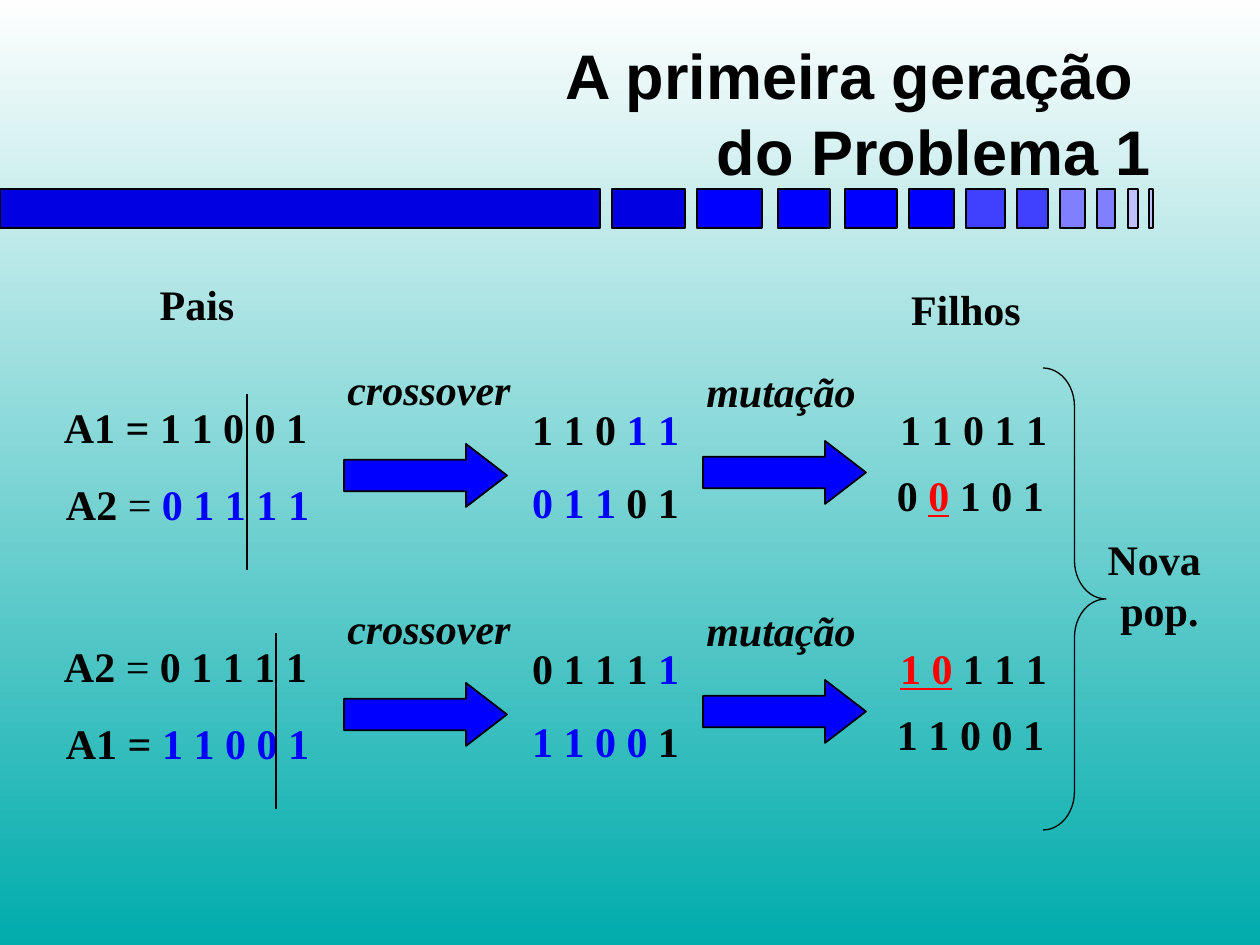
from pptx import Presentation
from pptx import util as u
from pptx.dml.color import RGBColor
from pptx.enum import shapes, text
from pptx.oxml.ns import qn
from lxml import etree

SCALE = 914400 / 126

BLACK = RGBColor(0x00, 0x00, 0x00)
BLUE = RGBColor(0x00, 0x00, 0xFF)
RED = RGBColor(0xFF, 0x00, 0x00)
DARK_BLUE = RGBColor(0x00, 0x00, 0xE0)
MID_BLUE = RGBColor(0x40, 0x40, 0xFF)
LIGHT_BLUE = RGBColor(0x80, 0x80, 0xFF)
PALE_BLUE = RGBColor(0xC0, 0xC0, 0xFF)
SKY = RGBColor(0xFE, 0xFE, 0xFE)
TEAL = RGBColor(0x00, 0xAC, 0xAC)

BARS = [
    (0, 600, DARK_BLUE), (612, 73, DARK_BLUE), (697, 65, BLUE),
    (778, 52, BLUE), (845, 52, BLUE), (909, 45, BLUE),
    (966, 39, MID_BLUE), (1017, 31, MID_BLUE), (1060, 25, LIGHT_BLUE),
    (1097, 18, LIGHT_BLUE), (1128, 10, PALE_BLUE), (1149, 4, PALE_BLUE),
]

NORMAL = {}
THIN = {"bold": False}
PARENT = {"color": BLUE}
MUTATED = {"color": RED, "underline": True}

FIRST_PAIR = {
    "cut": 247,
    "parents": [[("A1 = 1 1 0 0 1", NORMAL)],
                [("A2 ", NORMAL), ("= ", THIN), ("0 1 1 1 1", PARENT)]],
    "crossed": [[("1 1 0 ", NORMAL), ("1 1", PARENT)],
                [("0 1 1", PARENT), (" 0 1", NORMAL)]],
    "children": [[("1 1 0 1 1", NORMAL)],
                 [("0 ", NORMAL), ("0", MUTATED), (" 1 0 1", NORMAL)]],
}
SECOND_PAIR = {
    "cut": 276,
    "parents": [[("A2 ", NORMAL), ("= ", THIN), ("0 1 1 1 1", NORMAL)],
                [("A1 = ", NORMAL), ("1 1 0 0 1", PARENT)]],
    "crossed": [[("0 1 1 1 ", NORMAL), ("1", PARENT)],
                [("1 1 0 0", PARENT), (" 1", NORMAL)]],
    "children": [[("1 0", MUTATED), (" 1 1 1", NORMAL)],
                 [("1 1 0 0 1", NORMAL)]],
}


def px(*lengths):
    return [u.Emu(round(length * SCALE)) for length in lengths]


def add_span(para, words, color=BLACK, size=24, font="Times New Roman",
             bold=True, italic=False, underline=False):
    span = para.add_run()
    span.text = words
    span.font.name = font
    span.font.size = u.Pt(size)
    span.font.bold = bold
    span.font.italic = italic
    span.font.underline = underline
    span.font.color.rgb = color


def set_frame(frame, side, anchor):
    frame.word_wrap = True
    frame.vertical_anchor = anchor
    frame.margin_left, frame.margin_right = px(side, side)
    frame.margin_top, frame.margin_bottom = px(6, 6)


def add_label(page, box, spans, before):
    frame = page.shapes.add_textbox(*px(*box)).text_frame
    set_frame(frame, 3, text.MSO_ANCHOR.MIDDLE)
    para = frame.paragraphs[0]
    para.alignment = text.PP_ALIGN.CENTER
    para.line_spacing = 0.72
    para.space_before = u.Pt(before)
    for words, style in spans:
        add_span(para, words, **style)


def add_preset(page, kind, box, adjustments, fill=None, width=1):
    shape = page.shapes.add_shape(kind, *px(*box))
    shape.shadow.inherit = False
    for index, value in enumerate(adjustments):
        shape.adjustments[index] = value
    if fill is None:
        shape.fill.background()
    else:
        shape.fill.solid()
        shape.fill.fore_color.rgb = fill
    shape.line.color.rgb = BLACK
    shape.line.width = u.Pt(width)


def add_cut(page, left, top, height):
    cut = page.shapes.add_connector(
        shapes.MSO_CONNECTOR.STRAIGHT, *px(left, top, left, top + height))
    cut.line.color.rgb = BLACK
    cut.line.width = u.Pt(1)
    etree.SubElement(cut._element.spPr, qn("a:effectLst"))


def paint_background(page):
    fill = page.background.fill
    fill.gradient()
    fill.gradient_angle = 270
    for stop, color in zip(fill.gradient_stops, (SKY, TEAL)):
        stop.color.rgb = color


def build_title(page, box):
    title = page.shapes.title
    title.left, title.top, title.width, title.height = px(*box)
    frame = title.text_frame
    set_frame(frame, 3, text.MSO_ANCHOR.MIDDLE)
    frame.auto_size = text.MSO_AUTO_SIZE.NONE
    para = frame.paragraphs[0]
    para.alignment = text.PP_ALIGN.RIGHT
    para.space_before = u.Pt(5.2)
    add_span(para, " A primeira geração ", size=36, font="Arial")
    para.add_line_break()
    add_span(para, "do Problema 1", size=36, font="Arial")


def build_bars(page, left, top, height):
    for offset, width, color in BARS:
        add_preset(page, shapes.MSO_SHAPE.ROUNDED_RECTANGLE,
                   (left + offset, top, width, height), [0.006], color)


def build_step(page, left, top, width, name, arrow_left, arrow_top):
    add_label(page, (left, top, width, 63), [(name, {"italic": True})], 13.2)
    add_preset(page, shapes.MSO_SHAPE.RIGHT_ARROW,
               (arrow_left, arrow_top, 163, 63), [0.5, 0.65], BLUE)


def build_pair(page, top, pair):
    columns = [
        ("parents", [(52, 11), (54, 88)], (267, 117), 16.2),
        ("crossed", [(520, 40), (520, 113)], (171, 63), 5.2),
        ("children", [(888, 40), (885, 106)], (171, 63), 5.2),
    ]
    for name, places, size, before in columns:
        for (left, offset), spans in zip(places, pair[name]):
            add_label(page, (left, top + offset, *size), spans, before)
    add_cut(page, pair["cut"], top + 31, 176)
    build_step(page, 335, top, 188, "crossover", 344, top + 81)
    build_step(page, 694, top + 2, 174, "mutação", 703, top + 78)


def build_headings(page, top):
    add_label(page, (141, top, 112, 123), [("Pais", NORMAL)], 15.5)
    add_label(page, (890, top + 5, 152, 123), [("Filhos", NORMAL)], 15.5)


def build_population(page, left, top, height):
    add_preset(page, shapes.MSO_SHAPE.RIGHT_BRACE,
               (left, top, 63, height), [0.61, 0.5], width=0.75)
    box = page.shapes.add_textbox(*px(left + 43, top + 160, 147, 113))
    frame = box.text_frame
    set_frame(frame, 13, text.MSO_ANCHOR.TOP)
    frame.auto_size = text.MSO_AUTO_SIZE.SHAPE_TO_FIT_TEXT
    for para, words in zip((frame.paragraphs[0], frame.add_paragraph()),
                           ("Nova ", "pop.")):
        para.alignment = text.PP_ALIGN.CENTER
        add_span(para, words)


def main():
    deck = Presentation()
    deck.slide_width, deck.slide_height = px(1260, 945)
    page = deck.slides.add_slide(deck.slide_layouts[5])
    paint_background(page)
    build_bars(page, 0, 189, 39)
    build_title(page, (73, 45, 1081, 135))
    build_headings(page, 248)
    for index, pair in enumerate((FIRST_PAIR, SECOND_PAIR)):
        build_pair(page, 363 + 239 * index, pair)
    build_population(page, 1043, 368, 462)
    deck.save("out.pptx")


if __name__ == "__main__":
    main()
